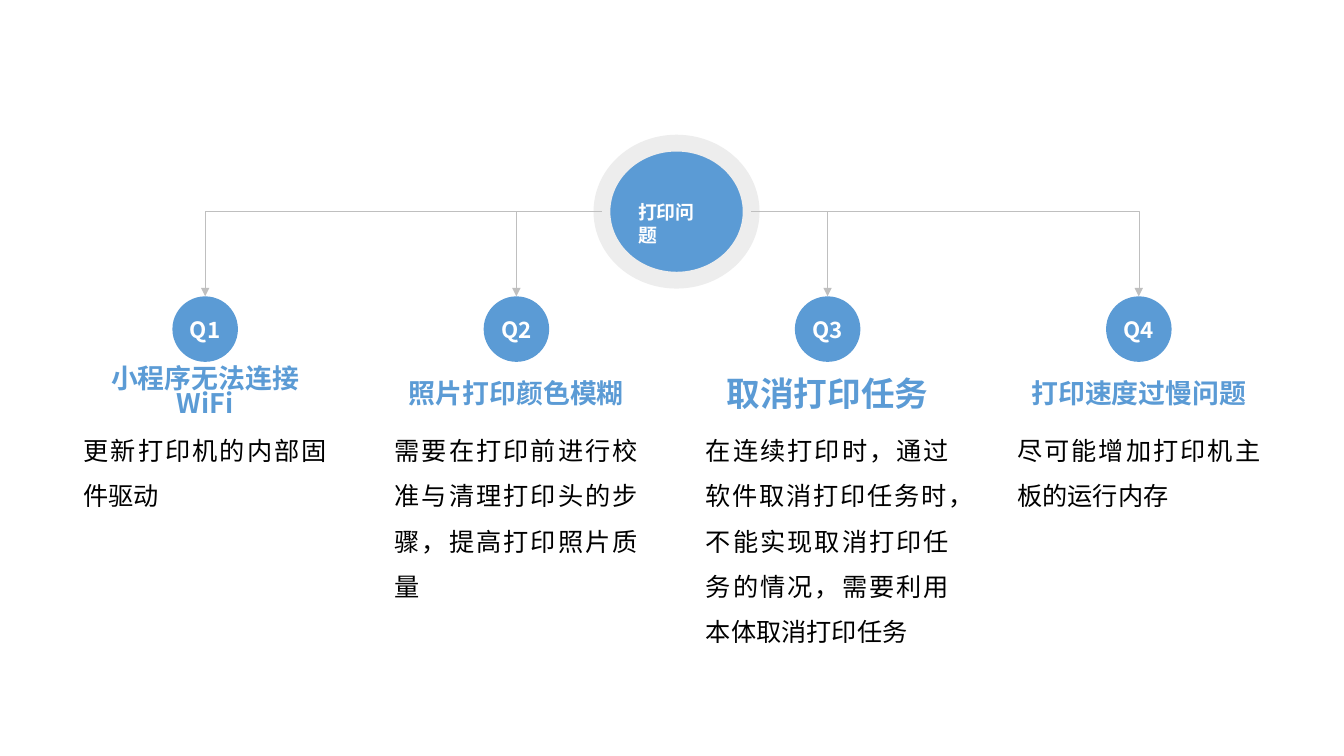
from dataclasses import dataclass

from lxml.etree import SubElement
from pptx import Presentation
from pptx.dml.color import RGBColor
from pptx.enum.shapes import MSO_CONNECTOR, MSO_SHAPE
from pptx.enum.text import MSO_ANCHOR, PP_ALIGN
from pptx.oxml.ns import qn
from pptx.shapes.autoshape import Shape
from pptx.slide import Slide
from pptx.util import Inches, Pt

FONT = "Noto Sans CJK SC"
COLORS = {"blue": "5B9BD5", "ring": "EDEDED", "line": "BFBFBF",
          "white": "FFFFFF", "black": "000000"}

LEFT, STEP, WIDTH = 0.73, (9.99 - 0.73) / 3, 2.61
HUB_X, HUB_Y, HUB_W, HUB_H = 5.97, 1.42, 1.48, 1.36
DOT, DOT_Y = 0.65, 2.94


@dataclass
class Issue:
    head: str
    body: str
    size: float = 19.2
    gap: float = 1.0


ISSUES = [
    Issue("小程序无法连接WiFi", "更新打印机的内部固件驱动", gap=0.8),
    Issue("照片打印颜色模糊", "需要在打印前进行校准与清理打印头的步骤，提高打印照片质量"),
    Issue("取消打印任务",
          "在连续打印时，通过软件取消打印任务时，不能实现取消打印任务的情况，需要利用本体取消打印任务",
          size=24),
    Issue("打印速度过慢问题", "尽可能增加打印机主板的运行内存"),
]


def shade(name: str) -> RGBColor:
    return RGBColor.from_string(COLORS[name])


def write(shape: Shape, text: str, *, size: float, color: str,
          bold: bool = False, align: PP_ALIGN = PP_ALIGN.CENTER,
          anchor: MSO_ANCHOR = MSO_ANCHOR.MIDDLE, wrap: bool = True,
          gap: float = 1.0, pad: bool = True) -> None:
    frame = shape.text_frame
    frame.word_wrap = wrap
    frame.vertical_anchor = anchor
    frame.margin_left = frame.margin_right = Inches(0.1 if pad else 0)
    frame.margin_top = frame.margin_bottom = Inches(0.05 if pad else 0)
    para = frame.paragraphs[0]
    para.alignment = align
    para.line_spacing = gap
    run = para.add_run()
    run.text = text
    font = run.font
    font.size, font.bold, font.name = Pt(size), bold, FONT
    font.color.rgb = shade(color)
    SubElement(run._r.get_or_add_rPr(), qn("a:ea"), typeface=FONT)


def add_box(slide: Slide, x: float, y: float, w: float, h: float) -> Shape:
    return slide.shapes.add_textbox(Inches(x), Inches(y), Inches(w), Inches(h))


def add_disc(slide: Slide, x: float, y: float, w: float, h: float) -> Shape:
    disc = slide.shapes.add_shape(
        MSO_SHAPE.OVAL, Inches(x), Inches(y), Inches(w), Inches(h))
    disc.shadow.inherit = False
    disc.fill.solid()
    disc.fill.fore_color.rgb = shade("blue")
    disc.line.fill.background()
    return disc


def add_branch(slide: Slide, mid: float) -> None:
    back = mid < HUB_X
    start, end = (mid, HUB_X) if back else (HUB_X + HUB_W, mid)
    link = slide.shapes.add_connector(
        MSO_CONNECTOR.ELBOW, Inches(start), Inches(HUB_Y + HUB_H / 2),
        Inches(end), Inches(DOT_Y))
    link.line.color.rgb = shade("line")
    link.line.width = Pt(0.25)
    props = link._element.spPr
    props.find(qn("a:prstGeom")).set("prst", "bentConnector2")
    if back:
        frame = props.find(qn("a:xfrm"))
        frame.set("rot", "10800000")
        frame.set("flipV", "1")
    SubElement(props.find(qn("a:ln")), qn("a:tailEnd"), type="triangle")
    SubElement(props, qn("a:effectLst"))


def add_hub(slide: Slide) -> None:
    hub = add_disc(slide, HUB_X, HUB_Y, HUB_W, HUB_H)
    hub.line.color.rgb = shade("ring")
    hub.line.width = Pt(12)
    write(add_box(slide, 6.23, 1.94, 0.94, 0.28), "打印问题", size=13.5,
          color="white", bold=True, align=PP_ALIGN.LEFT,
          anchor=MSO_ANCHOR.TOP, wrap=False)


def add_issue(slide: Slide, rank: int, issue: Issue) -> None:
    left = LEFT + rank * STEP
    mid = left + WIDTH / 2
    add_branch(slide, mid)
    dot = add_disc(slide, mid - DOT / 2, DOT_Y, DOT, DOT)
    write(dot, f"Q{rank + 1}", size=16, color="white", bold=True,
          wrap=False, pad=False)
    write(add_box(slide, left, 4.12, WIDTH, 2.03), issue.body, size=18,
          color="black", align=PP_ALIGN.JUSTIFY, anchor=MSO_ANCHOR.TOP,
          gap=1.5)
    write(add_box(slide, left, 3.64, WIDTH, 0.52), issue.head,
          size=issue.size, color="blue", bold=True, gap=issue.gap)


def main() -> None:
    deck = Presentation()
    deck.slide_width, deck.slide_height = Inches(13.33), Inches(7.5)
    slide = deck.slides.add_slide(deck.slide_layouts[6])
    add_hub(slide)
    for rank, issue in enumerate(ISSUES):
        add_issue(slide, rank, issue)
    deck.save("out.pptx")


if __name__ == "__main__":
    main()
